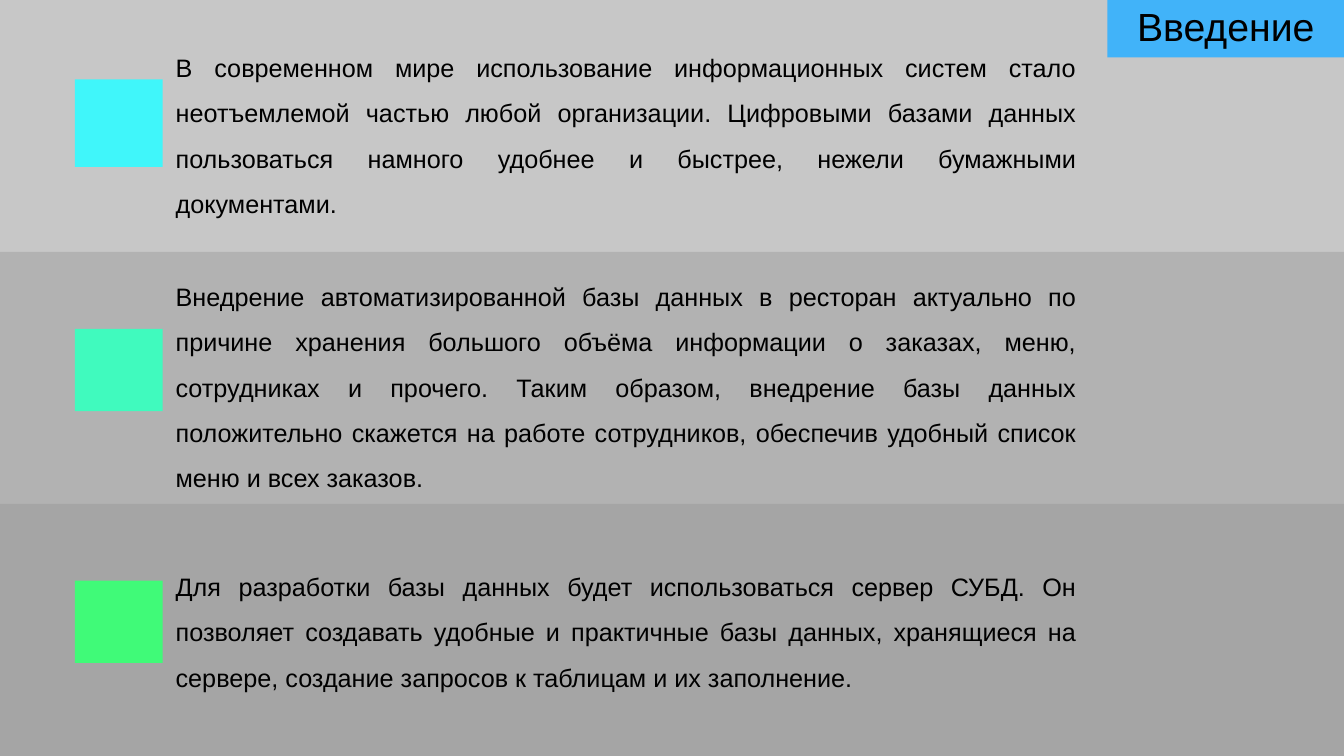
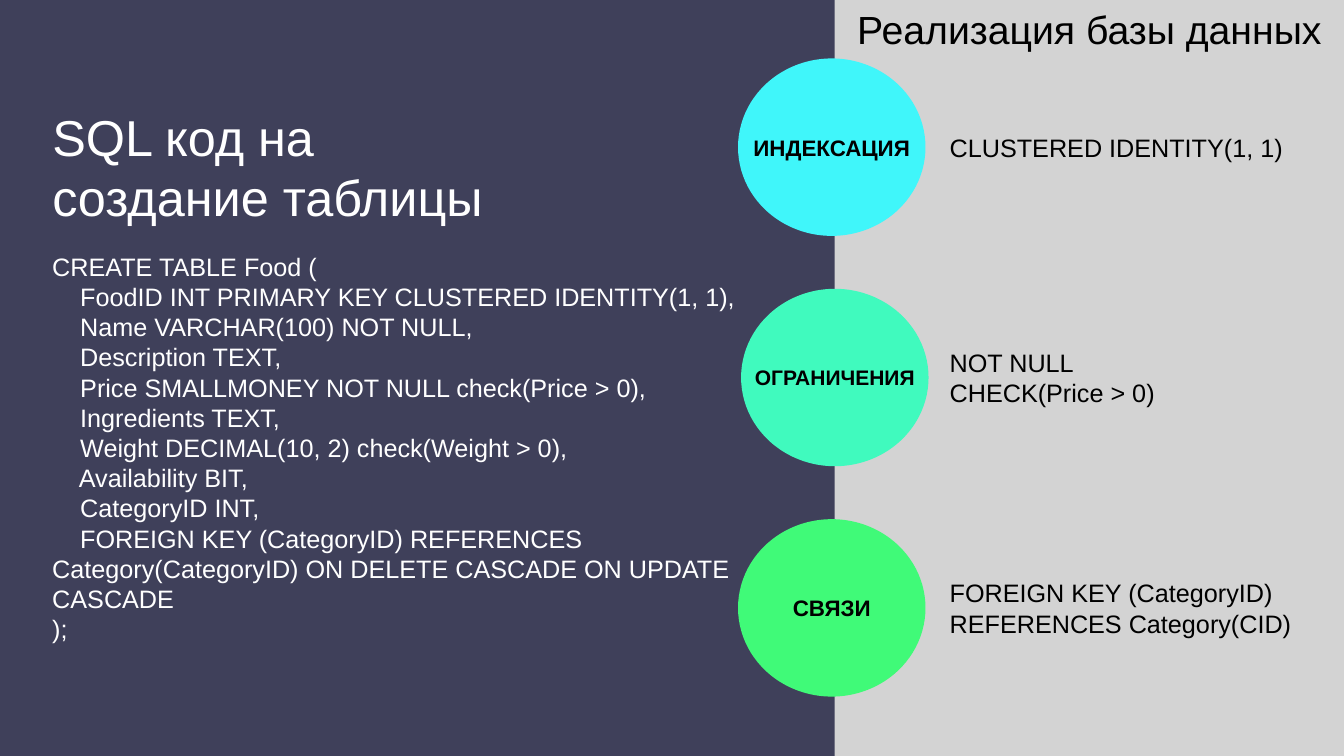
from pptx import Presentation
from pptx.dml.color import RGBColor
from pptx.enum.shapes import MSO_SHAPE
from pptx.enum.text import MSO_ANCHOR, PP_ALIGN
from pptx.util import Inches, Pt

W, H = 13.33, 7.5
FONT = "Arial"
COLORS = {
    "back": "D3D3D3", "panel": "3F405A", "tab": "41B3F9",
    "black": "000000", "white": "FFFFFF",
    "light": "C7C7C7", "mid": "B2B2B2", "dark": "A5A5A5",
    "cyan": "40F6FA", "mint": "40FABE", "green": "40FA78",
}

# band colour, mark colour, mark top and height, text top and height, text
POINTS = [
    ("light", "cyan", 10.5, 11.6, 4.27, 24.8,
     "В современном мире использование информационных систем стало "
     "неотъемлемой частью любой организации. Цифровыми базами данных "
     "пользоваться намного удобнее и быстрее, нежели бумажными документами."),
    ("mid", "mint", 43.5, 10.9, 34.53, 30.9,
     "Внедрение автоматизированной базы данных в ресторан актуально по "
     "причине хранения большого объёма информации о заказах, меню, "
     "сотрудниках и прочего. Таким образом, внедрение базы данных "
     "положительно скажется на работе сотрудников, обеспечив удобный "
     "список меню и всех заказов."),
    ("dark", "green", 76.8, 10.9, 72.93, 18.8,
     "Для разработки базы данных будет использоваться сервер СУБД. Он "
     "позволяет создавать удобные и практичные базы данных, хранящиеся на "
     "сервере, создание запросов к таблицам и их заполнение."),
]

CODE = """CREATE TABLE Food (
    FoodID INT PRIMARY KEY CLUSTERED IDENTITY(1, 1),
    Name VARCHAR(100) NOT NULL,
    Description TEXT,
    Price SMALLMONEY NOT NULL check(Price > 0),
    Ingredients TEXT,
    Weight DECIMAL(10, 2) check(Weight > 0),
    Availability BIT,
    CategoryID INT,
    FOREIGN KEY (CategoryID) REFERENCES Category(CategoryID) ON DELETE CASCADE ON UPDATE CASCADE
);"""

# colour, left, label, label size, note
TOPICS = [
    ("cyan", 54.91, "ИНДЕКСАЦИЯ", 16, "CLUSTERED IDENTITY(1, 1)"),
    ("mint", 55.14, "ОГРАНИЧЕНИЯ", 15, "NOT NULL\nCHECK(Price > 0)"),
    ("green", 54.91, "СВЯЗИ", 16,
     "FOREIGN KEY (CategoryID)\nREFERENCES Category(CID)"),
]


def rgb(name):
    return RGBColor.from_string(COLORS[name])


def place(x, y, w, h):
    """Turn percentages of the slide into lengths."""
    return [Inches(part * side / 100)
            for part, side in zip((x, y, w, h), (W, H, W, H))]


def style(frame, text, size, color="black", align=PP_ALIGN.LEFT,
          bold=False, space=None):
    frame.text = text
    for para in frame.paragraphs:
        para.alignment = align
        para.line_spacing = space
        for run in para.runs:
            font = run.font
            font.name, font.size, font.bold = FONT, Pt(size), bold
            font.color.rgb = rgb(color)


def block(slide, area, color, kind=MSO_SHAPE.RECTANGLE):
    shape = slide.shapes.add_shape(kind, *place(*area))
    shape.shadow.inherit = False
    shape.fill.solid()
    shape.fill.fore_color.rgb = rgb(color)
    shape.line.fill.background()
    return shape


def write(slide, area, text, size, anchor=MSO_ANCHOR.TOP, **look):
    frame = slide.shapes.add_textbox(*place(*area)).text_frame
    frame.word_wrap = True
    frame.vertical_anchor = anchor
    style(frame, text, size, **look)


def title(slide, text, x, h):
    """Centre a heading between x and the right edge."""
    write(slide, (x, 0, 100 - x, h), text, 28, MSO_ANCHOR.MIDDLE,
          align=PP_ALIGN.CENTER)


def disc(slide, area, color, text, size):
    shape = block(slide, area, color, MSO_SHAPE.OVAL)
    frame = shape.text_frame
    frame.word_wrap = False
    frame.vertical_anchor = MSO_ANCHOR.MIDDLE
    frame.margin_left = frame.margin_right = 0
    style(frame, text, size, align=PP_ALIGN.CENTER, bold=True)


def page(deck):
    slide = deck.slides.add_slide(deck.slide_layouts[6])
    fill = slide.background.fill
    fill.solid()
    fill.fore_color.rgb = rgb("back")
    return slide


def intro(deck):
    slide = page(deck)
    row = 100 / len(POINTS)
    for i, (band, mark, top, tall, y, h, text) in enumerate(POINTS):
        block(slide, (0, i * row, 100, row), band)
        block(slide, (5.57, top, 6.53, tall), mark)
        write(slide, (12.33, y, 68.5, h), text, 18,
              align=PP_ALIGN.JUSTIFY, space=1.5)
    block(slide, (82.4, 0, 17.6, 7.6), "tab")
    title(slide, "Введение", 82.4, 6.8)


def build(deck):
    slide = page(deck)
    edge = 62.1
    block(slide, (0, 0, edge, 100), "panel")
    title(slide, "Реализация базы данных", edge, 7.6)
    write(slide, (3.15, 13.33, 34.66, 17.5), "SQL код на создание таблицы",
          36, color="white")
    write(slide, (3.15, 32.53, 53.5, 53.9), CODE, 18, color="white")
    top, step, tall = 7.73, 30.47, 23.47
    for i, (color, x, label, size, note) in enumerate(TOPICS):
        y = top + i * step
        disc(slide, (x, y, 13.95, tall), color, label, size)
        write(slide, (69.92, y, 27.76, tall), note, 18, MSO_ANCHOR.MIDDLE)


def main():
    deck = Presentation()
    deck.slide_width, deck.slide_height = Inches(W), Inches(H)
    intro(deck)
    build(deck)
    deck.save("out.pptx")


if __name__ == "__main__":
    main()
